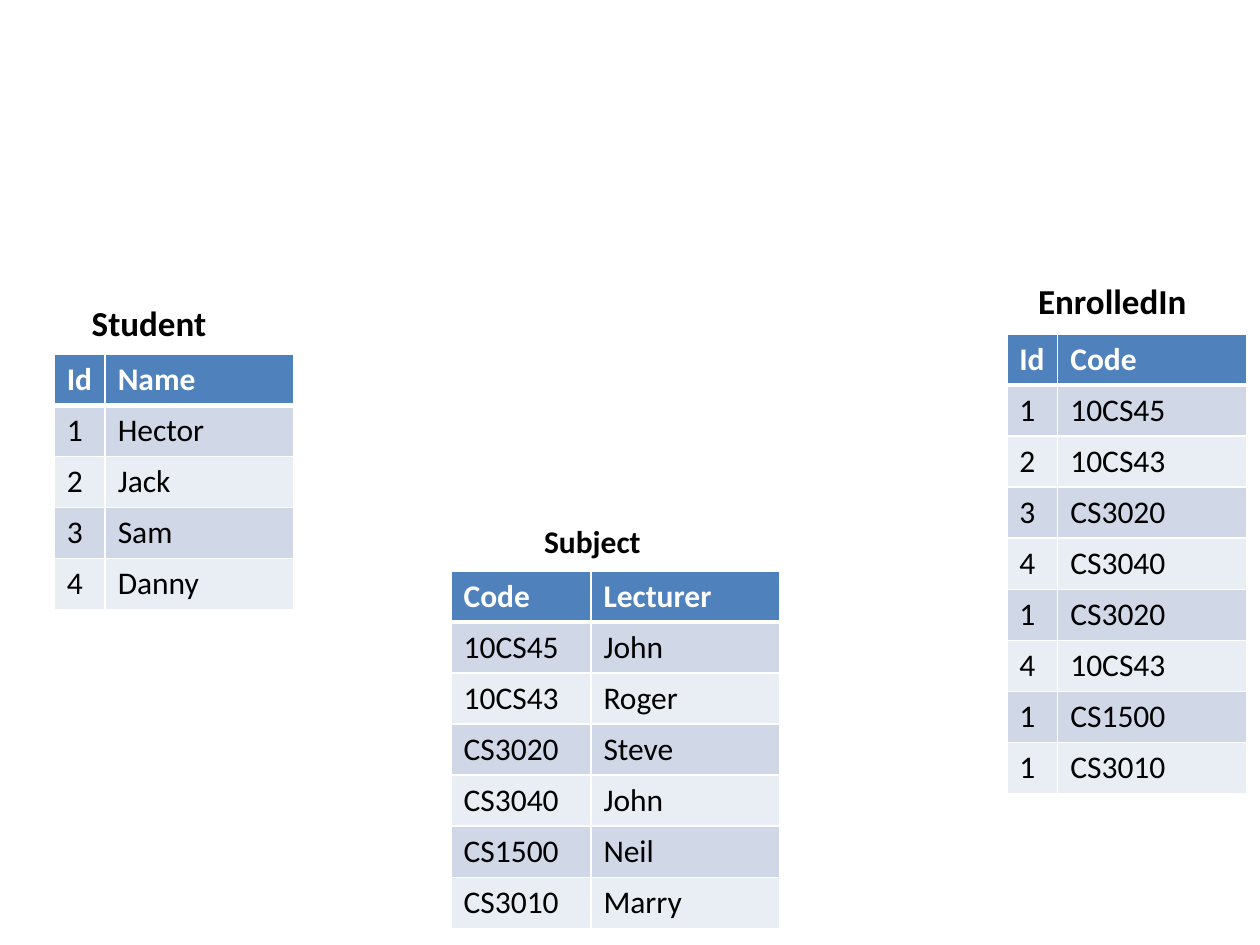
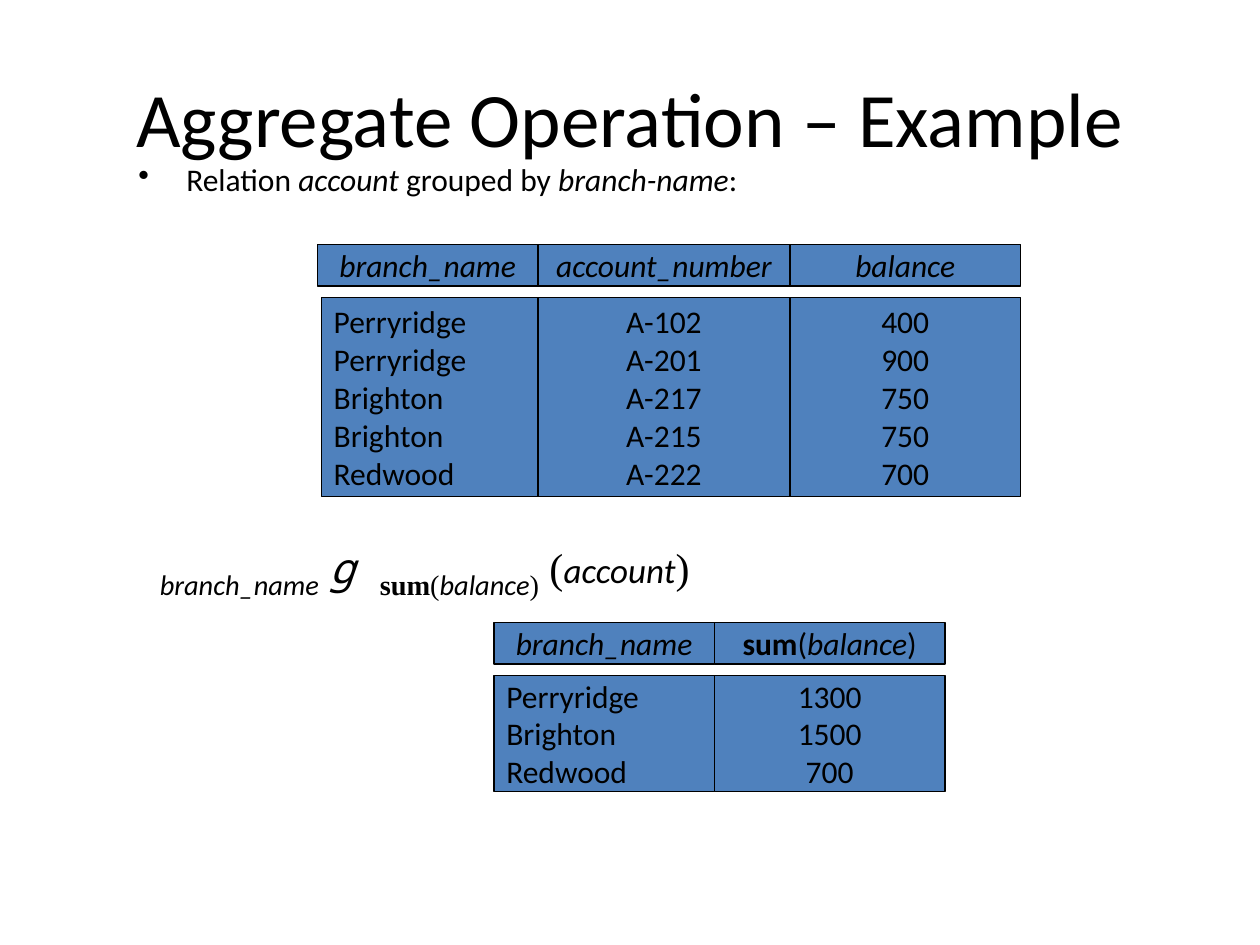
from dataclasses import dataclass

from lxml import etree
from pptx import Presentation
from pptx.dml.color import RGBColor
from pptx.enum.shapes import MSO_SHAPE
from pptx.enum.text import MSO_ANCHOR, PP_ALIGN
from pptx.oxml.ns import qn
from pptx.util import Inches, Pt

RECTANGLE = MSO_SHAPE.RECTANGLE
MIDDLE = MSO_ANCHOR.MIDDLE
LEFT, CENTER = PP_ALIGN.LEFT, PP_ALIGN.CENTER

BLACK = RGBColor(0x00, 0x00, 0x00)
WHITE = RGBColor(0xFF, 0xFF, 0xFF)
BLUE = RGBColor(0x4F, 0x81, 0xBD)
BAND_DARK = RGBColor(0xD0, 0xD8, 0xE8)
BAND_LIGHT = RGBColor(0xE9, 0xED, 0xF4)

PLAIN = {"name": "Calibri", "size": Pt(18), "bold": False, "italic": False}
ITALIC = {"italic": True}
BOLD = {"bold": True}
SERIF = {"name": "Times New Roman", "size": Pt(24)}
SUBSCRIPT = {"size": Pt(28), "baseline": -25000}

ROW_SHARE = 5.41
HEADING_SHARE = 4.4
BODY_OFFSET = 5.6


@dataclass
class Box:
    """A region of the slide in EMU."""

    left: int
    top: int
    width: int
    height: int

    def region(self, left, top, width, height):
        """Return the sub-box given as percentages of this box."""
        return Box(
            int(self.left + self.width * left / 100),
            int(self.top + self.height * top / 100),
            int(self.width * width / 100),
            int(self.height * height / 100),
        )

    def frame(self):
        """Return the arguments that python-pptx takes for a position."""
        return self.left, self.top, self.width, self.height


PAGE = Box(0, 0, Inches(10), Inches(7.5))


def write_runs(paragraph, runs, color=BLACK):
    """Add (text, style) runs to a paragraph."""
    for text, style in runs:
        run = paragraph.add_run()
        run.text = text
        run.font.color.rgb = color
        for key, value in {**PLAIN, **style}.items():
            if key == "baseline":
                run._r.get_or_add_rPr().set("baseline", str(value))
            else:
                setattr(run.font, key, value)


def write_lines(text_frame, lines, align=LEFT):
    """Fill a text frame with one paragraph for each list of runs."""
    text_frame.word_wrap = True
    for index, runs in enumerate(lines):
        paragraph = text_frame.add_paragraph() if index else text_frame.paragraphs[0]
        paragraph.alignment = align
        write_runs(paragraph, runs)


def add_text(slide, box, runs):
    """Add a one-paragraph text box and return its paragraph."""
    text_frame = slide.shapes.add_textbox(*box.frame()).text_frame
    write_lines(text_frame, [runs])
    return text_frame.paragraphs[0]


def set_borders(cell, widths):
    """Give a cell white borders with the widths in points for each side."""
    properties = cell._tc.get_or_add_tcPr()
    for index, (side, points) in enumerate(widths.items()):
        line = etree.Element(qn(f"a:ln{side}"), w=str(Pt(points)))
        fill = etree.SubElement(line, qn("a:solidFill"))
        etree.SubElement(fill, qn("a:srgbClr"), val=str(WHITE))
        properties.insert(index, line)


def entity_table(slide, box, columns, rows):
    """Draw a banded table with a heading row in the box."""
    table = slide.shapes.add_table(len(rows), len(columns), *box.frame()).table
    for column, share in zip(table.columns, columns):
        column.width = int(box.width * share / sum(columns))
    for row_index, values in enumerate(rows):
        table.rows[row_index].height = box.height // len(rows)
        heading = row_index == 0
        band = BLUE if heading else (BAND_LIGHT, BAND_DARK)[row_index % 2]
        widths = {"L": 1, "R": 1, "T": 3 if row_index == 1 else 1, "B": 3 if heading else 1}
        for column_index, value in enumerate(values):
            cell = table.cell(row_index, column_index)
            cell.fill.solid()
            cell.fill.fore_color.rgb = band
            set_borders(cell, widths)
            style, color = (BOLD, WHITE) if heading else ({}, BLACK)
            write_runs(cell.text_frame.paragraphs[0], [(value, style)], color)


def relation_cell(slide, box, lines, align):
    """Draw one outlined blue cell of a relation."""
    cell = slide.shapes.add_shape(RECTANGLE, *box.frame())
    cell.shadow.inherit = False
    cell.fill.solid()
    cell.fill.fore_color.rgb = BLUE
    cell.line.color.rgb = BLACK
    cell.line.width = Pt(0.75)
    cell.text_frame.vertical_anchor = MIDDLE
    write_lines(cell.text_frame, lines, align)


def relation(slide, box, columns, first_shift=0):
    """Draw headings and, below a gap, the value columns of a relation."""
    heading_height = int(PAGE.height * HEADING_SHARE / 100)
    body_offset = int(PAGE.height * BODY_OFFSET / 100)
    total = sum(share for share, _, _ in columns)
    placed = []
    left = box.left
    for index, (share, heading, values) in enumerate(columns):
        width = int(box.width * share / total)
        relation_cell(slide, Box(left, box.top, width, heading_height), [heading], CENTER)
        shift = 0 if index else int(PAGE.width * first_shift / 100)
        body = Box(left + shift, box.top + body_offset, width, box.height - body_offset)
        placed.append((body, values, CENTER if index else LEFT))
        left += width
    for body, values, align in placed:
        relation_cell(slide, body, [[(value, {})] for value in values], align)


def tables_slide(deck):
    """Build the slide with the three university tables."""
    slide = deck.slides.add_slide(deck.slide_layouts[6])
    students = [("Id", "Name"), ("1", "Hector"), ("2", "Jack"), ("3", "Sam"), ("4", "Danny")]
    enrolments = [
        ("Id", "Code"), ("1", "10CS45"), ("2", "10CS43"), ("3", "CS3020"), ("4", "CS3040"),
        ("1", "CS3020"), ("4", "10CS43"), ("1", "CS1500"), ("1", "CS3010"),
    ]
    subjects = [
        ("Code", "Lecturer"), ("10CS45", "John"), ("10CS43", "Roger"), ("CS3020", "Steve"),
        ("CS3040", "John"), ("CS1500", "Neil"), ("CS3010", "Marry"),
    ]
    entities = [
        ("Student", 20, (6.3, 31.2, 15.7, 5.87), (4.3, 37.47), (4.05, 15), students),
        ("EnrolledIn", 20, (81.4, 28.93, 16.6, 5.87), (79.9, 35.33), (4.05, 15), enrolments),
        ("Subject", 18, (42.2, 54.53, 15.7, 5.33), (35.8, 60.4), (11.1, 15), subjects),
    ]
    for name, size, label, corner, columns, rows in entities:
        box = PAGE.region(*corner, sum(columns), ROW_SHARE * len(rows))
        entity_table(slide, box, columns, rows)
        add_text(slide, PAGE.region(*label), [(name, {**BOLD, "size": Pt(size)})])


def style_title(title, text):
    """Place the title placeholder and write its text."""
    box = PAGE.region(5, 4, 90, 16.67)
    for key in ("left", "top", "width", "height"):
        setattr(title, key, getattr(box, key))
    title.text_frame.vertical_anchor = MIDDLE
    write_lines(title.text_frame, [[(text, {"size": Pt(44)})]], CENTER)


def bullet_line(slide, box, runs):
    """Write one bulleted line with a hanging indent."""
    paragraph = add_text(slide, box, runs)
    paragraph.space_before = Pt(3.6)
    properties = paragraph._p.get_or_add_pPr()
    indent = Inches(0.38)
    properties.set("marL", str(indent))
    properties.set("indent", str(-indent))
    etree.SubElement(properties, qn("a:buChar"), char="•")


def aggregate_slide(deck):
    """Build the slide with the grouped account relation."""
    slide = deck.slides.add_slide(deck.slide_layouts[5])
    style_title(slide.shapes.title, "Aggregate Operation – Example")
    bullet_line(slide, PAGE.region(10, 16.27, 75.1, 6), [
        ("Relation ", {}), ("account", ITALIC), (" grouped by ", {}),
        ("branch-name", ITALIC), (":", {}),
    ])
    serif_subscript = {**SERIF, **SUBSCRIPT}
    add_text(slide, PAGE.region(11.7, 55.87, 76.9, 8.53), [
        ("branch_name", {**SUBSCRIPT, **ITALIC}),
        (" ", SERIF),
        ("g ", {**SERIF, **ITALIC, "name": "Noto Sans Mono"}),
        ("sum", {**serif_subscript, **BOLD}),
        ("(", serif_subscript),
        ("balance", {**SUBSCRIPT, **ITALIC}),
        (")", serif_subscript),
        (" (", SERIF),
        ("account", {**ITALIC, "size": Pt(20)}),
        (")", SERIF),
    ])
    branch = [("branch_name", ITALIC)]
    relation(slide, PAGE.region(25.2, 25.87, 55.8, 26.67), [
        (17.5, branch, ["Perryridge", "Perryridge", "Brighton", "Brighton", "Redwood"]),
        (20, [("account_number", ITALIC)], ["A-102", "A-201", "A-217", "A-215", "A-222"]),
        (18.3, [("balance", ITALIC)], ["400", "900", "750", "750", "700"]),
    ], first_shift=0.3)
    balance_sum = [("sum", BOLD), ("(", {}), ("balance", ITALIC), (")", {})]
    relation(slide, PAGE.region(39.2, 65.87, 35.8, 17.87), [
        (17.5, branch, ["Perryridge", "Brighton", "Redwood"]),
        (18.3, balance_sum, ["1300", "1500", "700"]),
    ])


def main():
    """Build and save the deck."""
    deck = Presentation()
    deck.slide_width, deck.slide_height = PAGE.width, PAGE.height
    tables_slide(deck)
    aggregate_slide(deck)
    deck.save("out.pptx")


if __name__ == "__main__":
    main()
